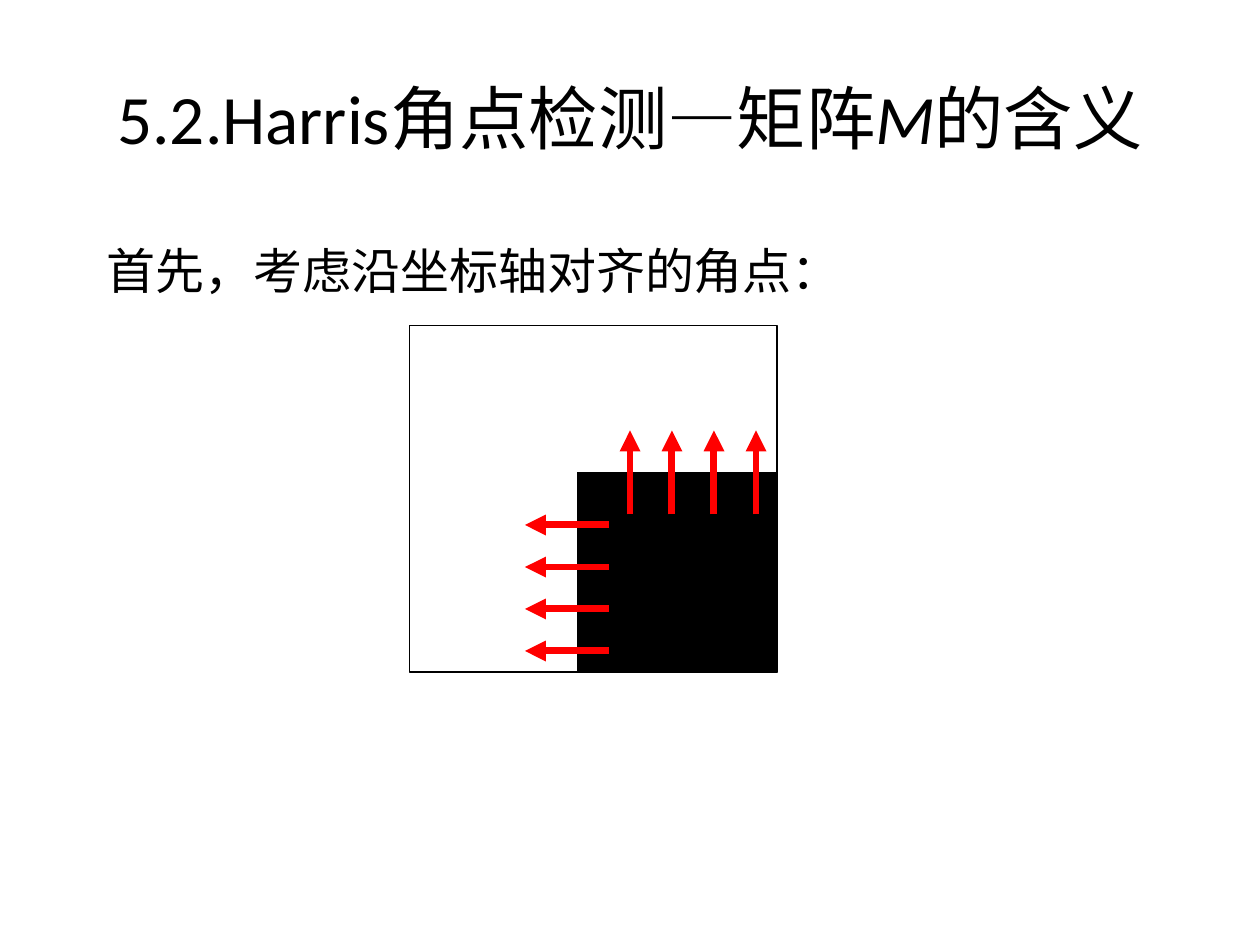
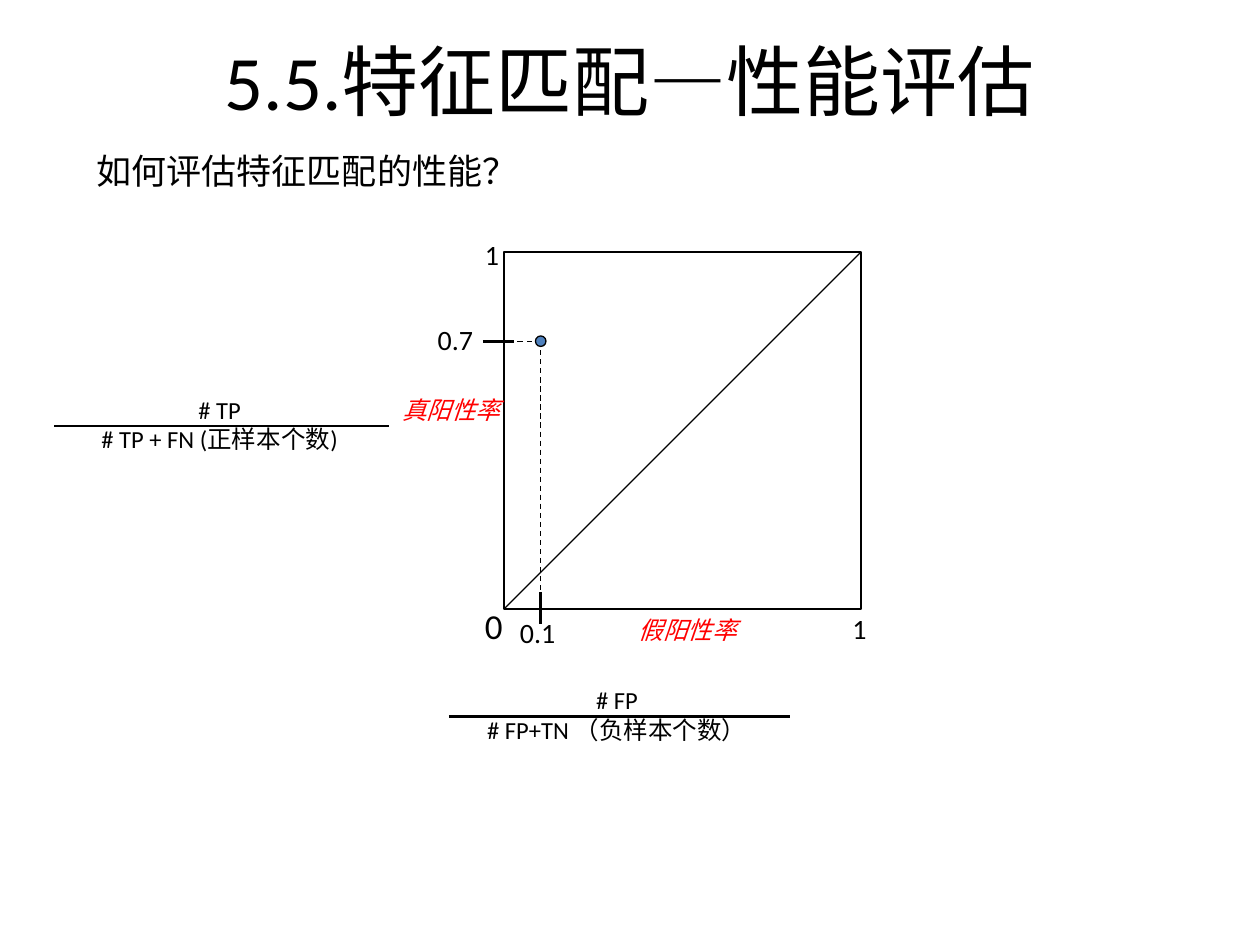
"""Build two slides on corner detection and on rating feature matches."""
from dataclasses import dataclass
from typing import NamedTuple

from lxml.etree import SubElement
from pptx import Presentation
from pptx.dml.color import RGBColor
from pptx.enum.dml import MSO_LINE
from pptx.enum.shapes import MSO_CONNECTOR, MSO_SHAPE
from pptx.enum.text import MSO_ANCHOR, MSO_AUTO_SIZE, PP_ALIGN
from pptx.oxml.ns import qn
from pptx.presentation import Presentation as Deck
from pptx.slide import Slide
from pptx.text.text import TextFrame
from pptx.util import Pt


@dataclass(frozen=True)
class Theme:
    font: str = "Calibri"
    ink: RGBColor = RGBColor(0, 0, 0)
    paper: RGBColor = RGBColor(255, 255, 255)
    red: RGBColor = RGBColor(255, 0, 0)
    blue: RGBColor = RGBColor(0x4F, 0x81, 0xBD)
    title: float = 44
    long_title: float = 39.6
    lead: float = 28
    body: float = 20
    tick: float = 16
    note: float = 14
    thin: float = 0.75
    bold: float = 1.5
    heavy: float = 4


THEME = Theme()


class Box(NamedTuple):
    left: float
    top: float
    width: float
    height: float


class Label(NamedTuple):
    box: Box
    lines: list[str]
    size: float = THEME.tick
    color: RGBColor = THEME.ink
    slant: bool = False
    align: PP_ALIGN = PP_ALIGN.LEFT


class Stroke(NamedTuple):
    start: tuple[float, float]
    end: tuple[float, float]
    width: float = THEME.thin
    color: RGBColor = THEME.ink
    dashed: bool = False
    arrow: bool = False


class Ratio(NamedTuple):
    box: Box
    lines: list[str]
    start: float
    end: float


def style(frame: TextFrame, label: Label) -> None:
    frame.word_wrap = True
    frame.auto_size = MSO_AUTO_SIZE.NONE
    for part in frame.paragraphs:
        part.alignment = label.align
        part.space_before = Pt(0)
        font = part.font
        font.name, font.size = THEME.font, Pt(label.size)
        font.color.rgb, font.italic = label.color, label.slant


def place(shape, box: Box) -> None:
    shape.left, shape.top, shape.width, shape.height = map(Pt, box)


def write(slide: Slide, label: Label) -> None:
    frame = slide.shapes.add_textbox(*map(Pt, label.box)).text_frame
    frame.text = "\n".join(label.lines)
    style(frame, label)


def draw(slide: Slide, stroke: Stroke) -> None:
    line = slide.shapes.add_connector(
        MSO_CONNECTOR.STRAIGHT, *map(Pt, (*stroke.start, *stroke.end)))
    line.line.color.rgb = stroke.color
    line.line.width = Pt(stroke.width)
    if stroke.dashed:
        line.line.dash_style = MSO_LINE.DASH
    if stroke.arrow:
        SubElement(line.get_or_add_ln(), qn("a:tailEnd"), type="triangle")
    SubElement(line.element.spPr, qn("a:effectLst"))


def block(slide: Slide, box: Box, fill: RGBColor | None = None,
          kind: MSO_SHAPE = MSO_SHAPE.RECTANGLE) -> None:
    shape = slide.shapes.add_shape(kind, *map(Pt, box))
    shape.shadow.inherit = False
    if fill is None:
        shape.fill.background()
    else:
        shape.fill.solid()
        shape.fill.fore_color.rgb = fill
    shape.line.color.rgb = THEME.ink
    shape.line.width = Pt(THEME.thin)


def start(deck: Deck, layout: int, top: float, size: float,
          runs: list[str]) -> Slide:
    slide = deck.slides.add_slide(deck.slide_layouts[layout])
    title, box = slide.shapes.title, Box(36, top, 648, 90)
    place(title, box)
    frame = title.text_frame
    frame.vertical_anchor = MSO_ANCHOR.MIDDLE
    for words in runs:
        frame.paragraphs[0].add_run().text = words
    style(frame, Label(box, runs, size, align=PP_ALIGN.CENTER))
    return slide


def corner(deck: Deck) -> None:
    slide = start(deck, 5, 21.6, THEME.long_title,
                  ["5.2.Harris角点检测—矩阵", "M", "的含义"])
    slide.shapes.title.text_frame.paragraphs[0].runs[1].font.italic = True
    write(slide, Label(Box(54, 134, 540, 41),
                       ["首先，考虑沿坐标轴对齐的角点："], THEME.lead))
    block(slide, Box(234, 186, 210, 198), THEME.paper)
    block(slide, Box(330, 270, 114, 114), THEME.ink)
    gap = 24
    for step in range(4):
        across, down = 360 + gap * step, 300 + gap * step
        for tail, head in (((348, down), (300, down)),
                           ((across, 294), (across, 246))):
            draw(slide, Stroke(tail, head, THEME.heavy, THEME.red, arrow=True))


def rating(deck: Deck) -> None:
    slide = start(deck, 1, 0.75, THEME.title, ["5.5.特征匹配—性能评估"])
    body, box = slide.placeholders[1], Box(48, 82, 612, 34)
    place(body, box)
    words = "如何评估特征匹配的性能？"
    body.text_frame.text = words
    props = body.text_frame.paragraphs[0]._p.get_or_add_pPr()
    props.set("marL", "0")
    props.set("indent", "0")
    SubElement(props, qn("a:buNone"))
    style(body.text_frame, Label(box, [words], THEME.body))

    left, top, side = 288, 144, 204
    right, base = left + side, top + side
    x, y, dot = 309, 195, 6
    tick_x, tick_y = left - 12, base + 8.4
    strokes = [
        Stroke((x, y), (tick_x, y), dashed=True),
        Stroke((x, y), (x, tick_y), dashed=True),
        Stroke((left, base), (right, top)),
        Stroke((tick_x, y), (tick_x + 18, y), THEME.bold),
        Stroke((x, tick_y - 18), (x, tick_y), THEME.bold),
    ]
    block(slide, Box(left, top, side, side))
    for stroke in strokes:
        draw(slide, stroke)
    block(slide, Box(x - dot / 2, y - dot / 2, dot, dot),
          THEME.blue, MSO_SHAPE.OVAL)

    labels = [
        Label(Box(243, 181, 60, 27), ["0.7"]),
        Label(Box(270, 342, 36, 31), ["0"], THEME.body),
        Label(Box(480, 346, 24, 27), ["1"]),
        Label(Box(270, 132, 24, 27), ["1"]),
        Label(Box(290, 348, 60, 27), ["0.1"]),
    ]
    names = [(Box(258, 348, 270, 24), "假阳性率"),
             (Box(210, 222, 96, 24), "真阳性率")]
    labels += [Label(box, [name], THEME.note, THEME.red, True, PP_ALIGN.CENTER)
               for box, name in names]
    ratios = [
        Ratio(Box(11.5, 222, 228, 41),
              ["# TP", "# TP + FN (正样本个数)"], 31, 222.4),
        Ratio(Box(238.5, 388, 228, 41),
              ["# FP", "# FP+TN （负样本个数）"], 256.5, 451.5),
    ]
    labels += [Label(ratio.box, ratio.lines, THEME.note, align=PP_ALIGN.CENTER)
               for ratio in ratios]
    for label in labels:
        write(slide, label)
    for ratio in ratios:
        level = ratio.box.top + 21.4
        draw(slide, Stroke((ratio.start, level), (ratio.end, level), THEME.bold))


def main() -> None:
    deck = Presentation()
    deck.slide_width, deck.slide_height = Pt(720), Pt(540)
    corner(deck)
    rating(deck)
    deck.save("out.pptx")


if __name__ == "__main__":
    main()
